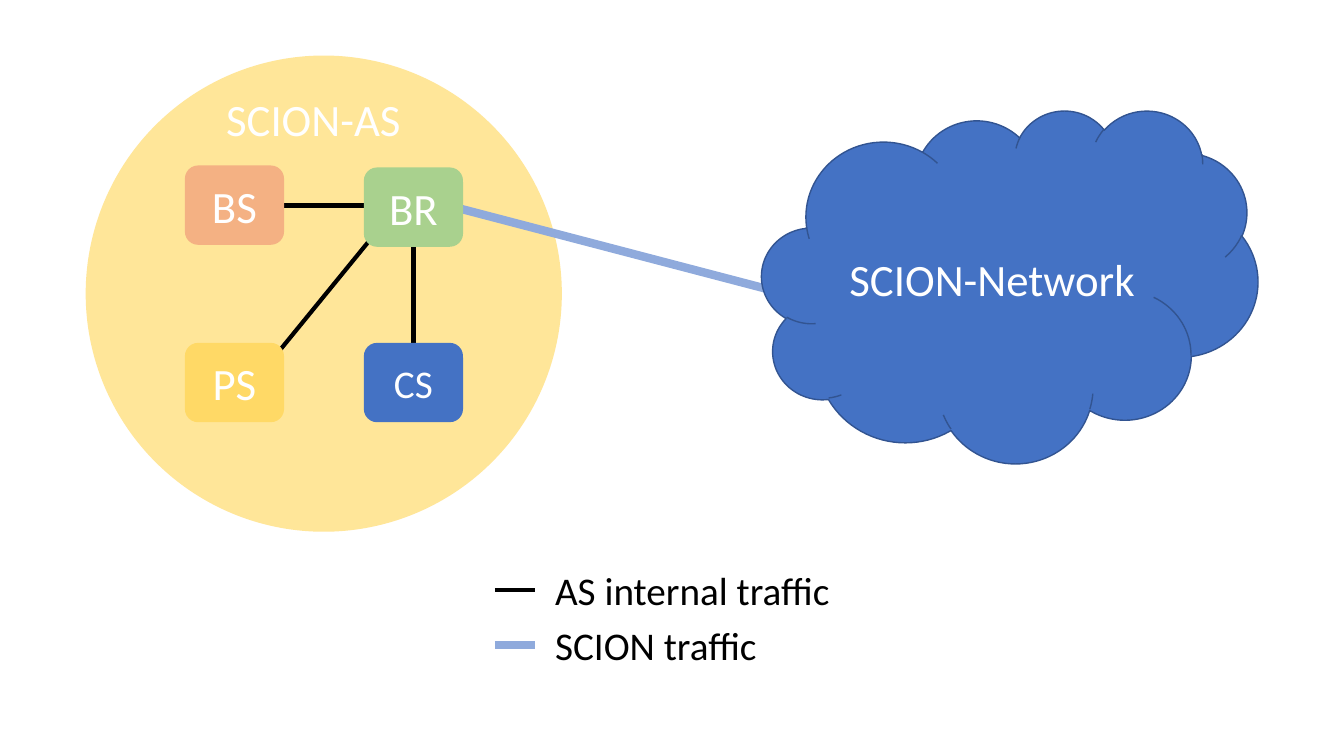
from typing import NamedTuple

from pptx import Presentation
from pptx.dml.color import RGBColor
from pptx.enum.shapes import MSO_CONNECTOR, MSO_SHAPE
from pptx.enum.text import MSO_ANCHOR, PP_ALIGN
from pptx.oxml.ns import qn
from pptx.shapes.autoshape import Shape
from pptx.util import Cm, Pt

WHITE = RGBColor(0xFF, 0xFF, 0xFF)
BLACK = RGBColor(0x00, 0x00, 0x00)
CREAM = RGBColor(0xFF, 0xE6, 0x99)
SKY = RGBColor(0x8F, 0xAA, 0xDC)
BLUE = RGBColor(0x44, 0x72, 0xC4)
NAVY = RGBColor(0x32, 0x54, 0x91)
PEACH = RGBColor(0xF4, 0xB1, 0x83)
GOLD = RGBColor(0xFF, 0xD9, 0x66)
GREEN = RGBColor(0xA9, 0xD1, 0x8E)

FONT = "Calibri"
LEFT, RIGHT = 4.66, 9.17
TOP, LOW = 4.17, 8.64
WIDE, HIGH = 2.5, 2.0
KEY_X, KEY_Y, KEY_STEP = 12.47, 14.86, 1.4


class Box(NamedTuple):
    x: float
    y: float
    w: float
    h: float


class Node(NamedTuple):
    text: str
    x: float
    y: float
    fill: RGBColor
    size: int = 32


class Pen(NamedTuple):
    color: RGBColor
    width: int


class Link(NamedTuple):
    x1: float
    y1: float
    x2: float
    y2: float
    pen: Pen


class Key(NamedTuple):
    text: str
    pen: Pen


INNER = Pen(BLACK, 3)
OUTER = Pen(SKY, 6)

LINKS = [
    Link(11.3, 5.18, 19.86, 7.42, OUTER),
    Link(LEFT + WIDE, 5.18, RIGHT, 5.18, INNER),
    Link(RIGHT + WIDE / 2, LOW, RIGHT + WIDE / 2, 6.22, INNER),
    Link(6.73, 9.22, 10.03, 5.18, INNER),
]
NODES = [
    Node("BS", LEFT, TOP, PEACH),
    Node("CS", RIGHT, LOW, BLUE, 28),
    Node("PS", LEFT, LOW, GOLD),
    Node("BR", RIGHT, TOP + 0.05, GREEN),
]
KEYS = [Key("AS internal traffic", INNER), Key("SCION traffic", OUTER)]

deck = Presentation()
deck.slide_width, deck.slide_height = Cm(33.87), Cm(19.05)
slide = deck.slides.add_slide(deck.slide_layouts[6])


def write(shape: Shape, text: str, size: int, color: RGBColor, align: PP_ALIGN) -> None:
    frame = shape.text_frame
    frame.text = text
    frame.vertical_anchor = MSO_ANCHOR.MIDDLE
    line = frame.paragraphs[0]
    line.alignment = align
    font = line.runs[0].font
    font.name, font.size = FONT, Pt(size)
    font.color.rgb = color


def draw_shape(kind: MSO_SHAPE, box: Box, fill: RGBColor) -> Shape:
    shape = slide.shapes.add_shape(kind, *map(Cm, box))
    shape.shadow.inherit = False
    shape.fill.solid()
    shape.fill.fore_color.rgb = fill
    shape.line.fill.background()
    return shape


def draw_link(link: Link) -> None:
    line = slide.shapes.add_connector(MSO_CONNECTOR.STRAIGHT, *map(Cm, link[:4]))
    line.line.color.rgb = link.pen.color
    line.line.width = Pt(link.pen.width)
    props = line._element.spPr
    props.append(props.makeelement(qn("a:effectLst"), {}))


def draw_node(node: Node) -> None:
    box = Box(node.x, node.y, WIDE, HIGH)
    shape = draw_shape(MSO_SHAPE.ROUNDED_RECTANGLE, box, node.fill)
    write(shape, node.text, node.size, WHITE, PP_ALIGN.CENTER)


def draw_label(box: Box, text: str, size: int, color: RGBColor, align: PP_ALIGN) -> None:
    label = slide.shapes.add_textbox(*map(Cm, box))
    label.text_frame.word_wrap = True
    write(label, text, size, color, align)


def draw_key(key: Key, y: float) -> None:
    draw_link(Link(KEY_X, y, KEY_X + 1, y, key.pen))
    box = Box(KEY_X + 1.27, y - 0.73, 7.67, 1.45)
    draw_label(box, key.text, 28, BLACK, PP_ALIGN.LEFT)


draw_shape(MSO_SHAPE.OVAL, Box(2.16, 1.4, 12, 12), CREAM)
draw_label(Box(4.9, 2.2, 6, 1.6), "SCION-AS", 32, WHITE, PP_ALIGN.CENTER)
for link in LINKS:
    draw_link(link)
for node in NODES:
    draw_node(node)

cloud = draw_shape(MSO_SHAPE.CLOUD, Box(19.2, 2.77, 12.5, 8.89), BLUE)
cloud.line.color.rgb = NAVY
cloud.line.width = Pt(1)
write(cloud, "SCION-Network", 32, WHITE, PP_ALIGN.CENTER)

for row, key in enumerate(KEYS):
    draw_key(key, KEY_Y + row * KEY_STEP)

deck.save("out.pptx")
